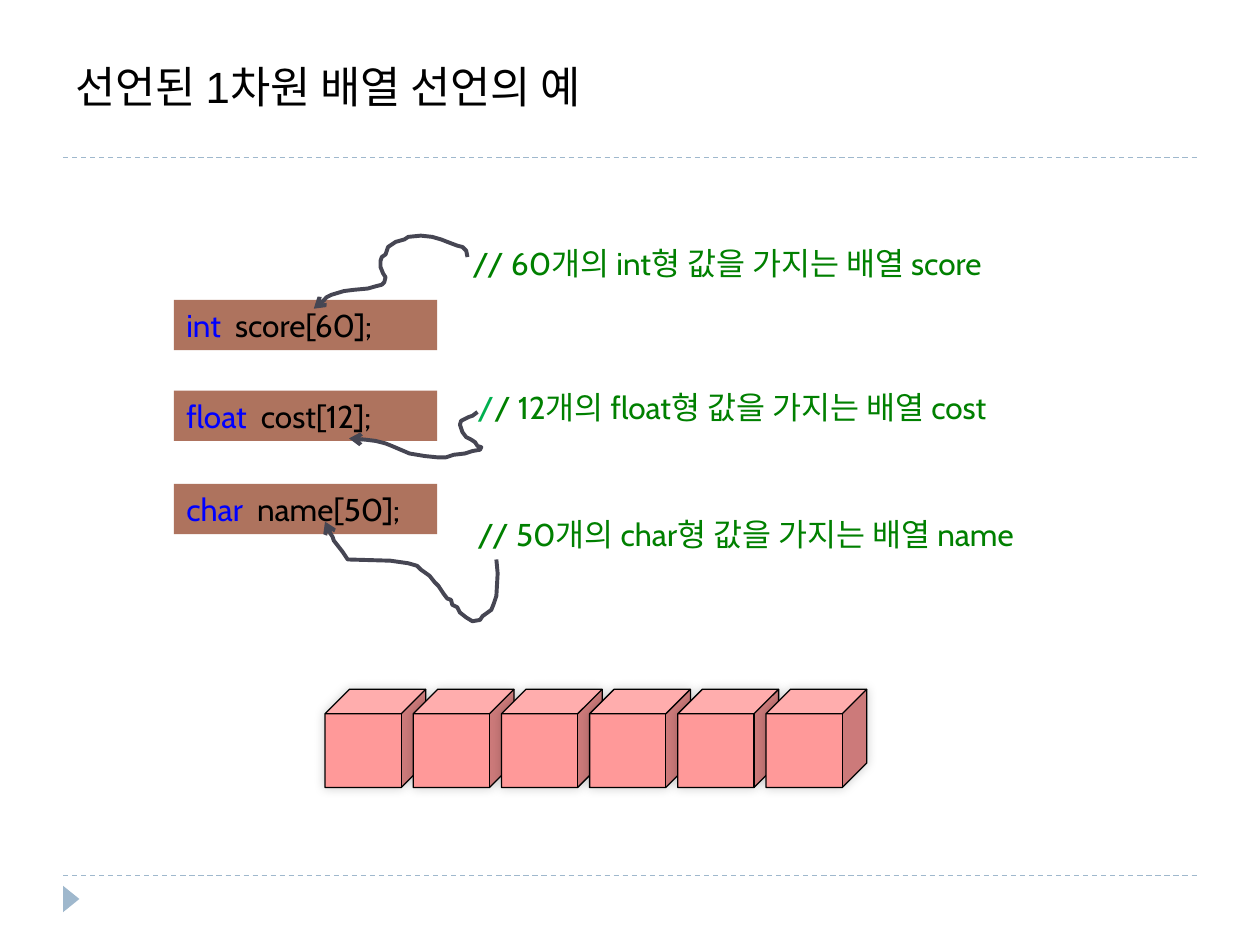
from lxml import etree
from pptx import Presentation
from pptx.dml.color import RGBColor
from pptx.enum.dml import MSO_LINE
from pptx.enum.shapes import MSO_CONNECTOR, MSO_SHAPE
from pptx.enum.text import MSO_ANCHOR, PP_ALIGN
from pptx.oxml.ns import qn
from pptx.util import Inches, Pt

DASH = MSO_LINE.DASH
STRAIGHT = MSO_CONNECTOR.STRAIGHT
RECT, CUBE = MSO_SHAPE.RECTANGLE, MSO_SHAPE.CUBE
TRIANGLE = MSO_SHAPE.ISOSCELES_TRIANGLE
TOP, BOTTOM, LEFT = MSO_ANCHOR.TOP, MSO_ANCHOR.BOTTOM, PP_ALIGN.LEFT

BLACK = RGBColor(0x00, 0x00, 0x00)
BLUE = RGBColor(0x00, 0x00, 0xFF)
GREEN = RGBColor(0x00, 0x80, 0x00)
LIME = RGBColor(0x00, 0xB0, 0x50)
BROWN = RGBColor(0xAE, 0x73, 0x5E)
PINK = RGBColor(0xFF, 0x99, 0x99)
STEEL = RGBColor(0x9F, 0xB8, 0xCD)
SLATE = RGBColor(0x46, 0x46, 0x53)

CODES = [
    (2.38, "int", "  score[60];"),
    (3.10, "float", "  cost[12];"),
    (3.84, "char", "  name[50];"),
]
NOTES = [
    (3.65, 1.89, 4.73, [("// 60개의 int형 값을 가지는 배열 score", GREEN)]),
    (3.69, 3.03, 4.78, [("/", LIME),
                        ("/ 12개의 float형 값을 가지는 배열 cost", GREEN)]),
    (3.69, 4.04, 5, [("// 50개의 char형 값을 가지는 배열 name", GREEN)]),
]
SCORE_PATH = [
    (3.71, 2.04), (3.70, 1.99), (3.67, 1.96), (3.63, 1.95), (3.55, 1.92),
    (3.50, 1.90), (3.43, 1.88), (3.34, 1.87), (3.24, 1.88), (3.21, 1.90),
    (3.14, 1.92), (3.08, 1.96), (3.06, 2.02), (3.03, 2.04), (3.02, 2.07),
    (3.02, 2.12), (3.04, 2.17), (3.06, 2.20), (3.05, 2.24), (3.03, 2.26),
    (2.99, 2.27), (2.92, 2.29), (2.81, 2.30), (2.73, 2.31), (2.63, 2.34),
    (2.59, 2.36), (2.54, 2.42), (2.49, 2.45),
]
COST_PATH = [
    (3.79, 3.27), (3.75, 3.30), (3.72, 3.31), (3.66, 3.34), (3.65, 3.37),
    (3.67, 3.43), (3.70, 3.47), (3.74, 3.49), (3.77, 3.51), (3.79, 3.54),
    (3.82, 3.55), (3.81, 3.57), (3.75, 3.58), (3.69, 3.60), (3.60, 3.61),
    (3.54, 3.63), (3.47, 3.63), (3.37, 3.62), (3.25, 3.60), (3.18, 3.57),
    (3.11, 3.54), (3.06, 3.52), (2.98, 3.50), (2.90, 3.49), (2.77, 3.48),
]
NAME_PATH = [
    (3.94, 4.44), (3.95, 4.55), (3.94, 4.73), (3.92, 4.79), (3.90, 4.84),
    (3.83, 4.89), (3.81, 4.92), (3.75, 4.93), (3.70, 4.90), (3.65, 4.86),
    (3.63, 4.82), (3.59, 4.80), (3.58, 4.76), (3.55, 4.75), (3.52, 4.71),
    (3.48, 4.65), (3.45, 4.62), (3.41, 4.57), (3.34, 4.52), (3.31, 4.49),
    (3.24, 4.47), (3.10, 4.45), (2.76, 4.44), (2.72, 4.38), (2.65, 4.29),
    (2.64, 4.26), (2.60, 4.20), (2.58, 4.14),
]


def write(shape, parts, font, size, anchor=TOP):
    """Fill a shape with one paragraph of (text, colour) runs."""
    frame = shape.text_frame
    frame.word_wrap = True
    frame.vertical_anchor = anchor
    para = frame.paragraphs[0]
    para.alignment = LEFT
    for text, color in parts:
        run = para.add_run()
        run.text = text
        run.font.name = font
        run.font.size = Pt(size)
        run.font.color.rgb = color


def add_text(slide, box, *style):
    write(slide.shapes.add_textbox(*map(Inches, box)), *style)


def add_solid(slide, kind, box, color):
    shape = slide.shapes.add_shape(kind, *map(Inches, box))
    shape.shadow.inherit = False
    shape.fill.solid()
    shape.fill.fore_color.rgb = color
    shape.line.fill.background()
    return shape


def add_rule(slide, y):
    rule = slide.shapes.add_connector(
        STRAIGHT, Inches(0.5), Inches(y), Inches(9.5), Inches(y))
    rule.line.color.rgb = STEEL
    rule.line.width = Pt(0.75)
    rule.line.dash_style = DASH
    etree.SubElement(rule._element.spPr, qn("a:effectLst"))


def add_curve(slide, points):
    """Draw a hand-drawn line that ends in an arrowhead."""
    start, *rest = [(Inches(x), Inches(y)) for x, y in points]
    pen = slide.shapes.build_freeform(*start)
    pen.add_line_segments(rest, close=False)
    curve = pen.convert_to_shape()
    curve.shadow.inherit = False
    curve.fill.background()
    curve.line.color.rgb = SLATE
    curve.line.width = Pt(2.25)
    line = curve.line._get_or_add_ln()
    etree.SubElement(line, qn("a:round"))
    etree.SubElement(line, qn("a:tailEnd"), type="arrow")


def add_cube(slide, x):
    cube = add_solid(slide, CUBE, (x, 5.47, 0.8, 0.78), PINK)
    cube.line.color.rgb = BLACK
    cube.line.width = Pt(0.75)
    effects = cube._element.spPr.find(qn("a:effectLst"))
    glow = etree.SubElement(effects, qn("a:outerShdw"),
                            blurRad=str(Pt(6)), dist="0", dir="18900000")
    color = etree.SubElement(glow, qn("a:srgbClr"), val=str(BLACK))
    etree.SubElement(color, qn("a:alpha"), val="20000")


def main():
    deck = Presentation()
    deck.slide_width, deck.slide_height = Inches(10), Inches(7.5)
    slide = deck.slides.add_slide(deck.slide_layouts[6])

    for y in (6.95, 1.25):
        add_rule(slide, y)
    mark = add_solid(slide, TRIANGLE, (0.46, 7.07, 0.21, 0.13), STEEL)
    mark.rotation = 90
    add_text(slide, (0.5, 0.17, 9, 0.77),
             [("선언된 1차원 배열 선언의 예", BLACK)], "Arial", 25, BOTTOM)

    for y, word, rest in CODES:
        code = add_solid(slide, RECT, (1.38, y, 2.09, 0.4), BROWN)
        write(code, [(word, BLUE), (rest, BLACK)], "Cabin", 18)
    for x, y, width, parts in NOTES:
        add_text(slide, (x, y, width, 0.4), parts, "Cabin", 18)
    for points in (SCORE_PATH, COST_PATH, NAME_PATH):
        add_curve(slide, points)
    for i in range(6):
        add_cube(slide, 2.58 + 0.7 * i)

    deck.save("out.pptx")


if __name__ == "__main__":
    main()
